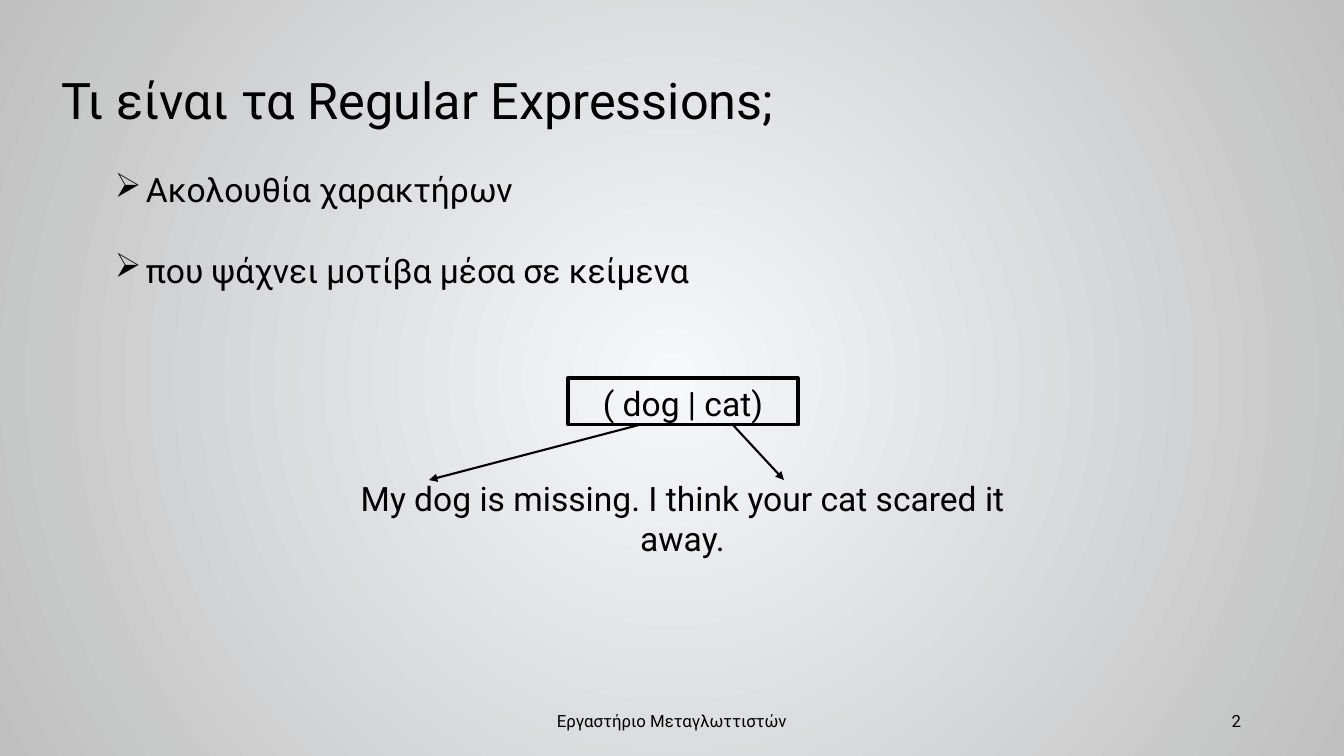
import pptx
import pptx.dml.color
import pptx.enum.shapes
import pptx.enum.text
import pptx.oxml.ns
import pptx.util
from lxml import etree

PIXELS_PER_INCH = 100.8
FONT = "Roboto"
BLACK = "000000"
ALIGN = pptx.enum.text.PP_ALIGN
ANCHOR = pptx.enum.text.MSO_ANCHOR


def px(pixels):
    return pptx.util.Emu(round(pixels * 914400 / PIXELS_PER_INCH))


def colour(value):
    return pptx.dml.color.RGBColor.from_string(value)


def add_child(parent, tag, **attributes):
    return etree.SubElement(parent, pptx.oxml.ns.qn(tag), attributes)


def set_background(slide, centre, edge):
    fill = slide.background.fill
    fill.gradient()
    for stop, value in zip(fill.gradient_stops, (centre, edge)):
        stop.color.rgb = colour(value)
    gradient = slide.element.find(".//" + pptx.oxml.ns.qn("a:gradFill"))
    gradient.remove(gradient.find(pptx.oxml.ns.qn("a:lin")))
    circle = add_child(gradient, "a:path", path="circle")
    add_child(circle, "a:fillToRect", l="50000", t="50000", r="50000", b="50000")


def add_bullet(paragraph, indent):
    properties = paragraph._p.get_or_add_pPr()
    properties.set("marL", str(px(indent)))
    properties.set("indent", str(-px(indent)))
    add_child(properties, "a:buChar", char="➢")


def write(shape, *lines, size=24, align=ALIGN.LEFT, anchor=ANCHOR.TOP,
          wrap=True, gap=0, bullet_indent=0):
    frame = shape.text_frame
    frame.auto_size = pptx.enum.text.MSO_AUTO_SIZE.NONE
    frame.word_wrap = wrap
    frame.vertical_anchor = anchor
    frame.text = "\n".join(lines)
    for number, paragraph in enumerate(frame.paragraphs):
        paragraph.alignment = align
        paragraph.space_before = pptx.util.Pt(gap if number else 0)
        if bullet_indent:
            add_bullet(paragraph, bullet_indent)
        font = paragraph.runs[0].font
        font.name = FONT
        font.size = pptx.util.Pt(size)
        font.color.rgb = colour(BLACK)


def add_title(slide, text, left, top, width, height):
    title = slide.shapes.title
    title.left, title.top = px(left), px(top)
    title.width, title.height = px(width), px(height)
    write(title, text, size=36, wrap=False)


def add_text(slide, left, top, width, height, *lines, **text_format):
    box = slide.shapes.add_textbox(px(left), px(top), px(width), px(height))
    write(box, *lines, **text_format)


def add_frame(slide, left, top, width, height, text):
    frame = slide.shapes.add_shape(
        pptx.enum.shapes.MSO_SHAPE.RECTANGLE,
        px(left), px(top), px(width), px(height))
    frame.shadow.inherit = False
    frame.fill.background()
    frame.line.color.rgb = colour(BLACK)
    frame.line.width = pptx.util.Pt(2.25)
    write(frame, text, align=ALIGN.CENTER, wrap=False)


def add_arrow(slide, start, end):
    arrow = slide.shapes.add_connector(
        pptx.enum.shapes.MSO_CONNECTOR.STRAIGHT, *map(px, start + end))
    arrow.line.color.rgb = colour(BLACK)
    arrow.line.width = pptx.util.Pt(1.5)
    add_child(arrow.line._get_or_add_ln(), "a:tailEnd", type="triangle")
    add_child(arrow._element.spPr, "a:effectLst")


def main():
    deck = pptx.Presentation()
    deck.slide_width, deck.slide_height = px(1344), px(756)
    slide = deck.slides.add_slide(deck.slide_layouts.get_by_name("Title Only"))
    set_background(slide, "F6F8FC", "BFBFBF")

    add_title(slide, "Τι είναι τα Regular Expressions;", 51, 64, 747, 72)
    add_text(slide, 105, 164, 678, 132,
             "Ακολουθία χαρακτήρων", "που ψάχνει μοτίβα μέσα σε κείμενα",
             gap=29, bullet_indent=31)

    add_frame(slide, 568, 378, 230, 47, "( dog | cat)")
    add_text(slide, 310, 473, 745, 90,
             "My dog is missing. I think your cat scared it away.",
             align=ALIGN.CENTER)
    for start, end in (((733, 425), (784, 480)), ((639, 425), (429, 480))):
        add_arrow(slide, start, end)

    add_text(slide, 445, 701, 454, 40, "Εργαστήριο Μεταγλωττιστών",
             size=12, align=ALIGN.CENTER, anchor=ANCHOR.MIDDLE)
    add_text(slide, 949, 701, 302, 40, "2",
             size=12, align=ALIGN.RIGHT, anchor=ANCHOR.MIDDLE)
    deck.save("out.pptx")


main()
